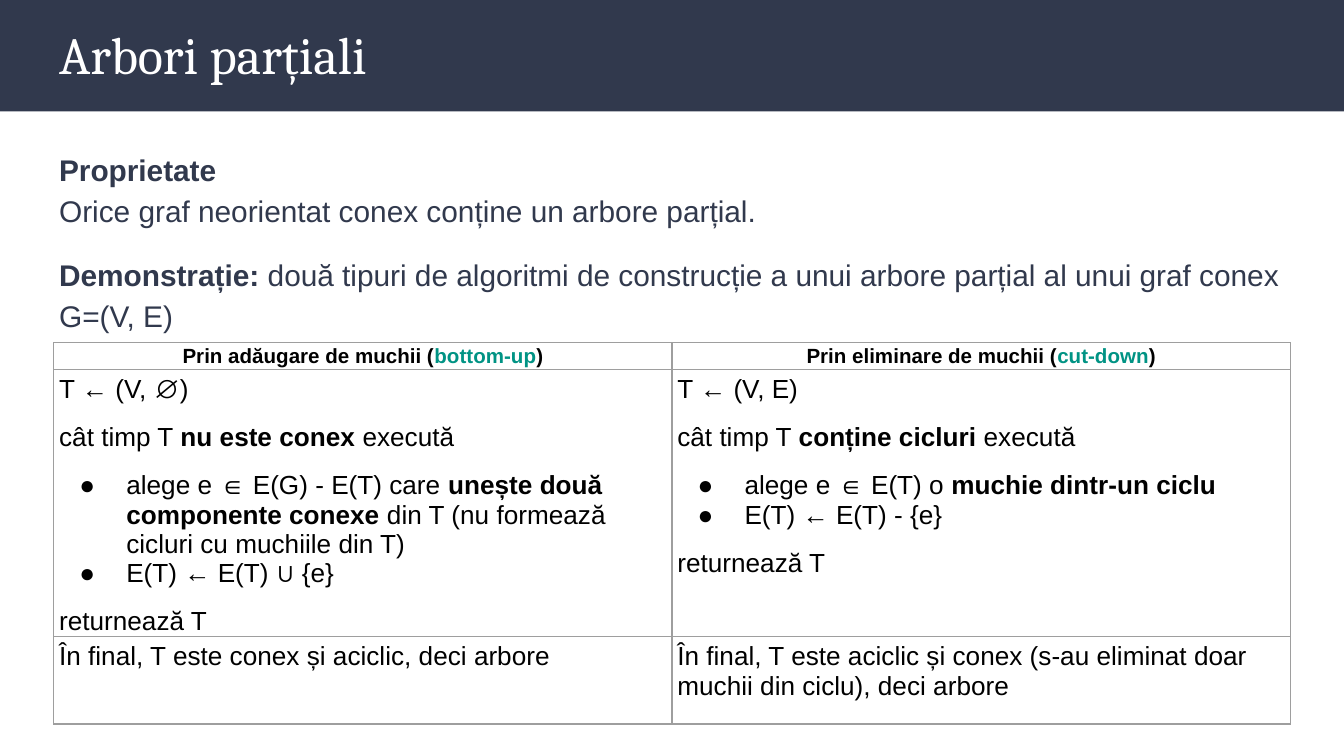
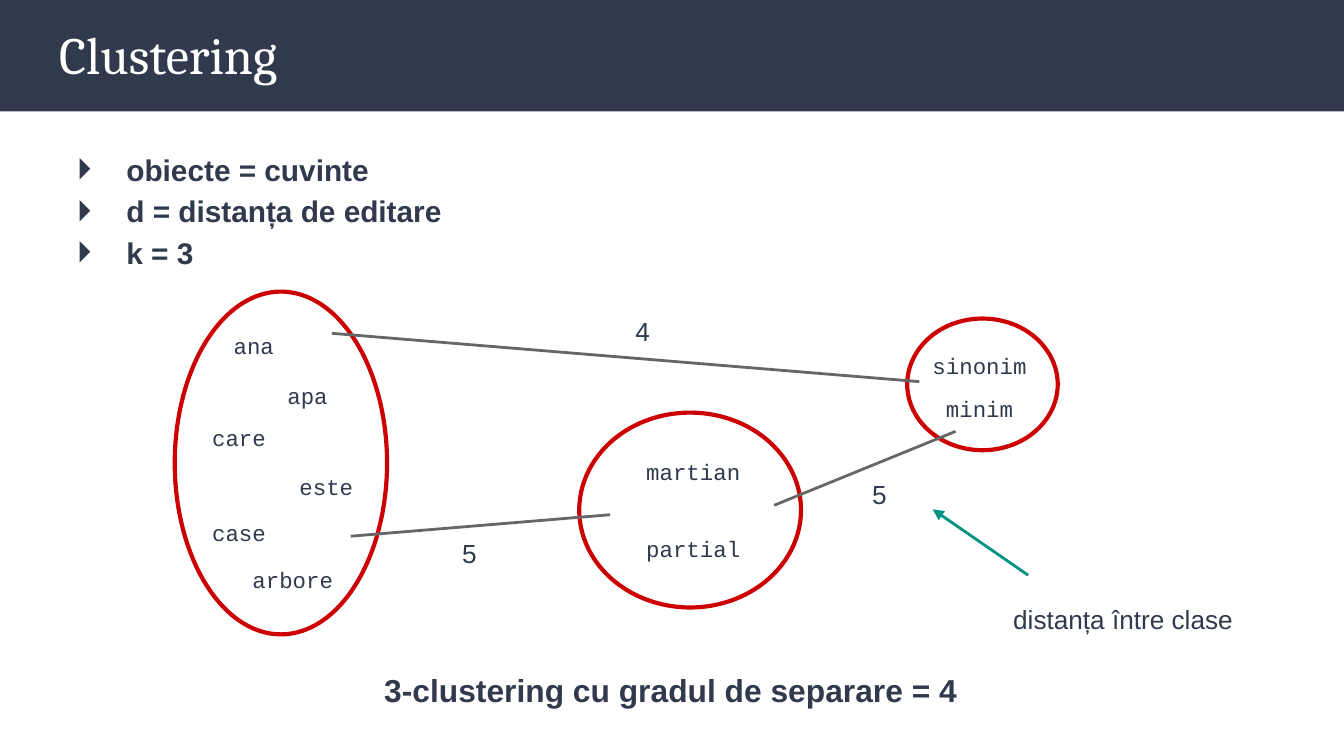
"""Builds two slides on spanning trees and word clustering."""
from dataclasses import dataclass

from lxml import etree
from pptx import Presentation
from pptx.dml.color import RGBColor
from pptx.enum.shapes import MSO_CONNECTOR, MSO_SHAPE
from pptx.enum.text import MSO_ANCHOR, MSO_AUTO_SIZE, PP_ALIGN
from pptx.oxml.ns import qn
from pptx.util import Inches, Pt

STRAIGHT = MSO_CONNECTOR.STRAIGHT
RECTANGLE, ELLIPSE = MSO_SHAPE.RECTANGLE, MSO_SHAPE.OVAL
TOP, MIDDLE = MSO_ANCHOR.TOP, MSO_ANCHOR.MIDDLE
LEFT, CENTER = PP_ALIGN.LEFT, PP_ALIGN.CENTER
NO_FIT, GROW = MSO_AUTO_SIZE.NONE, MSO_AUTO_SIZE.SHAPE_TO_FIT_TEXT


@dataclass(frozen=True)
class Theme:
    navy: str = "31394D"
    white: str = "FFFFFF"
    black: str = "000000"
    teal: str = "009384"
    red: str = "CC0000"
    edge: str = "666666"
    grid: str = "9E9E9E"
    heading: str = "Cambria"
    text: str = "Arial"
    code: str = "Courier New"
    title_size: int = 28
    conclusion_size: int = 17
    body_size: int = 16
    label_size: int = 14
    word_size: int = 12
    header_size: int = 11


THEME = Theme()


def write(frame, text, size=THEME.label_size, font=THEME.text, color=THEME.navy, bold=False,
          accent=None, align=LEFT, spacing=1.0, before=0, bullet=None, hanging=0.35):
    """Add one paragraph; text between ** marks is bold, or takes the accent colour."""
    paragraph = frame.paragraphs[0]
    if paragraph.runs:
        paragraph = frame.add_paragraph()
    paragraph.alignment = align
    paragraph.line_spacing = spacing
    paragraph.space_before = Pt(before)
    properties = paragraph._p.get_or_add_pPr()
    properties.set("marL", str(Inches(0.5) if bullet else 0))
    properties.set("indent", str(-Inches(hanging) if bullet else 0))
    if bullet:
        bullet_color = etree.SubElement(properties, qn("a:buClr"))
        etree.SubElement(bullet_color, qn("a:srgbClr"), val=color)
        etree.SubElement(properties, qn("a:buFont"), typeface=font)
        etree.SubElement(properties, qn("a:buChar"), char=bullet)
    else:
        etree.SubElement(properties, qn("a:buNone"))
    for index, piece in enumerate(text.split("**")):
        if not piece:
            continue
        marked = index % 2 == 1
        run = paragraph.add_run()
        run.text = piece.rstrip("\n")
        run.font.name = font
        run.font.size = Pt(size)
        run.font.bold = bold or (marked and not accent)
        run.font.color.rgb = RGBColor.from_string(accent if marked and accent else color)
        if piece.endswith("\n"):
            paragraph.add_line_break()
            etree.SubElement(paragraph._p[-1], qn("a:rPr"), sz=str(size * 100))


def add_label(shapes, text, left, top, width, height, **style):
    """Add a text box that holds one line."""
    box = shapes.add_textbox(Inches(left), Inches(top), Inches(width), Inches(height))
    frame = box.text_frame
    frame.word_wrap = True
    frame.auto_size = GROW
    frame.margin_left = frame.margin_right = frame.margin_top = frame.margin_bottom = Inches(0.1)
    write(frame, text, **style)


prs = Presentation()
prs.slide_width = Inches(10)
prs.slide_height = prs.slide_width * 9 // 16
layout = prs.slide_layouts[1]

slides = []
for title in ("Arbori parțiali", "Clustering"):
    slide = prs.slides.add_slide(layout)
    slides.append(slide)
    heading, body = slide.placeholders
    for holder, top, height, anchor in ((heading, 0.06, 0.68, MIDDLE), (body, 0.99, 4.11, TOP)):
        holder.left, holder.top = Inches(0.34), Inches(top)
        holder.width, holder.height = Inches(9.32), Inches(height)
        frame = holder.text_frame
        frame.auto_size = NO_FIT
        frame.word_wrap = True
        frame.vertical_anchor = anchor
        frame.margin_left = frame.margin_right = Inches(0.1)
        frame.margin_top = frame.margin_bottom = Inches(0.1)
    write(heading.text_frame, title, size=THEME.title_size, font=THEME.heading, color=THEME.white)
trees, clustering = slides

band = trees.shapes.add_shape(RECTANGLE, 0, 0, prs.slide_width, Inches(0.83))
band.shadow.inherit = False
band.fill.solid()
band.fill.fore_color.rgb = RGBColor.from_string(THEME.navy)
band.line.fill.background()
layout.shapes.element.insert(2, band.element)

statement = trees.placeholders[1].text_frame
write(statement, "**Proprietate\n**Orice graf neorientat conex conține un arbore parțial.",
      size=THEME.body_size, spacing=1.15)
write(statement, "**Demonstrație: **două tipuri de algoritmi de construcție a unui arbore parțial "
      "al unui graf conex G=(V, E)", size=THEME.body_size, spacing=1.15, before=12)

header = {"size": THEME.header_size, "bold": True, "accent": THEME.teal, "align": CENTER}
step = {"before": 10}
first_item = {"before": 10, "bullet": "●"}
next_item = {"bullet": "●"}
algorithms = [
    [
        [("Prin adăugare de muchii (**bottom-up**)", header)],
        [("Prin eliminare de muchii (**cut-down**)", header)],
    ],
    [
        [("T ← (V, ∅)", {}),
         ("cât timp T **nu este conex** execută", step),
         ("alege e ∈ E(G) - E(T) care **unește două componente conexe** din T "
          "(nu formează cicluri cu muchiile din T)", first_item),
         ("E(T) ← E(T) ∪ {e}", next_item),
         ("returnează T", step)],
        [("T ← (V, E)", {}),
         ("cât timp T **conține cicluri** execută", step),
         ("alege e ∈ E(T) o **muchie dintr-un ciclu**", first_item),
         ("E(T) ← E(T) - {e}", next_item),
         ("returnează T", step)],
    ],
    [
        [("În final, T este conex și aciclic, deci arbore", {})],
        [("În final, T este aciclic și conex (s-au eliminat doar muchii din ciclu), "
          "deci arbore", {})],
    ],
]
row_heights = (0.2, 1.82, 0.65)
comparison = trees.shapes.add_table(3, 2, Inches(0.4), Inches(2.55), Inches(9.2),
                                    Inches(sum(row_heights))).table
comparison.first_row = comparison.horz_banding = False
for row_index, (height, row) in enumerate(zip(row_heights, algorithms)):
    comparison.rows[row_index].height = Inches(height)
    for column_index, paragraphs in enumerate(row):
        cell = comparison.cell(row_index, column_index)
        inset = Inches(0.04 if row_index else 0)
        cell.margin_left = cell.margin_top = inset
        cell.margin_right = cell.margin_bottom = 0
        cell.vertical_anchor = TOP if row_index else MIDDLE
        for text, style in paragraphs:
            write(cell.text_frame, text, color=THEME.black, **style)
        cell_properties = cell._tc.get_or_add_tcPr()
        for side in ("L", "R", "T", "B"):
            border = etree.SubElement(cell_properties, qn(f"a:ln{side}"), w=str(Pt(0.75)))
            border_fill = etree.SubElement(border, qn("a:solidFill"))
            etree.SubElement(border_fill, qn("a:srgbClr"), val=THEME.grid)
        cell.fill.background()

for setting in ("obiecte = cuvinte", "d = distanța de editare", "k = 3"):
    write(clustering.placeholders[1].text_frame, setting, size=THEME.body_size, bold=True,
          spacing=1.15, bullet="⏵", hanging=0.37)

clusters = [
    ((6.75, 2.37, 1.12, 0.98),
     [("sinonim", 6.84, 2.52, 0.96), ("minim", 6.94, 2.84, 0.76)]),
    ((4.31, 3.07, 1.65, 1.45),
     [("martian", 4.71, 3.31, 0.96), ("partial", 4.71, 3.88, 0.96)]),
    ((1.3, 2.17, 1.58, 2.55),
     [("ana", 1.64, 2.37, 0.64), ("este", 2.13, 3.42, 0.64), ("care", 1.48, 3.06, 0.64),
      ("arbore", 1.78, 4.11, 0.96), ("case", 1.48, 3.76, 0.64), ("apa", 2.04, 2.74, 0.64)]),
]
for bounds, words in clusters:
    cluster = clustering.shapes.add_group_shape().shapes
    outline = cluster.add_shape(ELLIPSE, *map(Inches, bounds))
    outline.shadow.inherit = False
    outline.fill.background()
    outline.line.color.rgb = RGBColor.from_string(THEME.red)
    outline.line.width = Pt(2.25)
    for word, left, top, width in words:
        add_label(cluster, word, left, top, width, 0.4, size=THEME.word_size, font=THEME.code)

links = [
    ((2.61, 3.99, 4.54, 3.83), THEME.edge, False),
    ((2.47, 2.48, 6.84, 2.84), THEME.edge, False),
    ((5.76, 3.76, 7.11, 3.21), THEME.edge, False),
    ((7.65, 4.28, 6.94, 3.79), THEME.teal, True),
]
for ends, color, has_arrow in links:
    link = clustering.shapes.add_connector(STRAIGHT, *map(Inches, ends))
    link.line.color.rgb = RGBColor.from_string(color)
    link.line.width = Pt(1.5)
    link_properties = link.element.spPr
    if has_arrow:
        etree.SubElement(link_properties.find(qn("a:ln")), qn("a:tailEnd"), type="triangle")
    etree.SubElement(link_properties, qn("a:effectLst"))

for distance, left, top in (("4", 4.63, 2.25), ("5", 3.34, 3.9), ("5", 6.39, 3.46)):
    add_label(clustering.shapes, distance, left, top, 0.36, 0.44)
add_label(clustering.shapes, "distanța între clase", 7.44, 4.39, 1.88, 0.44)
add_label(clustering.shapes, "3-clustering cu gradul de separare = 4", 2.76, 4.89, 4.48, 0.49,
          size=THEME.conclusion_size, bold=True)

prs.save("out.pptx")
